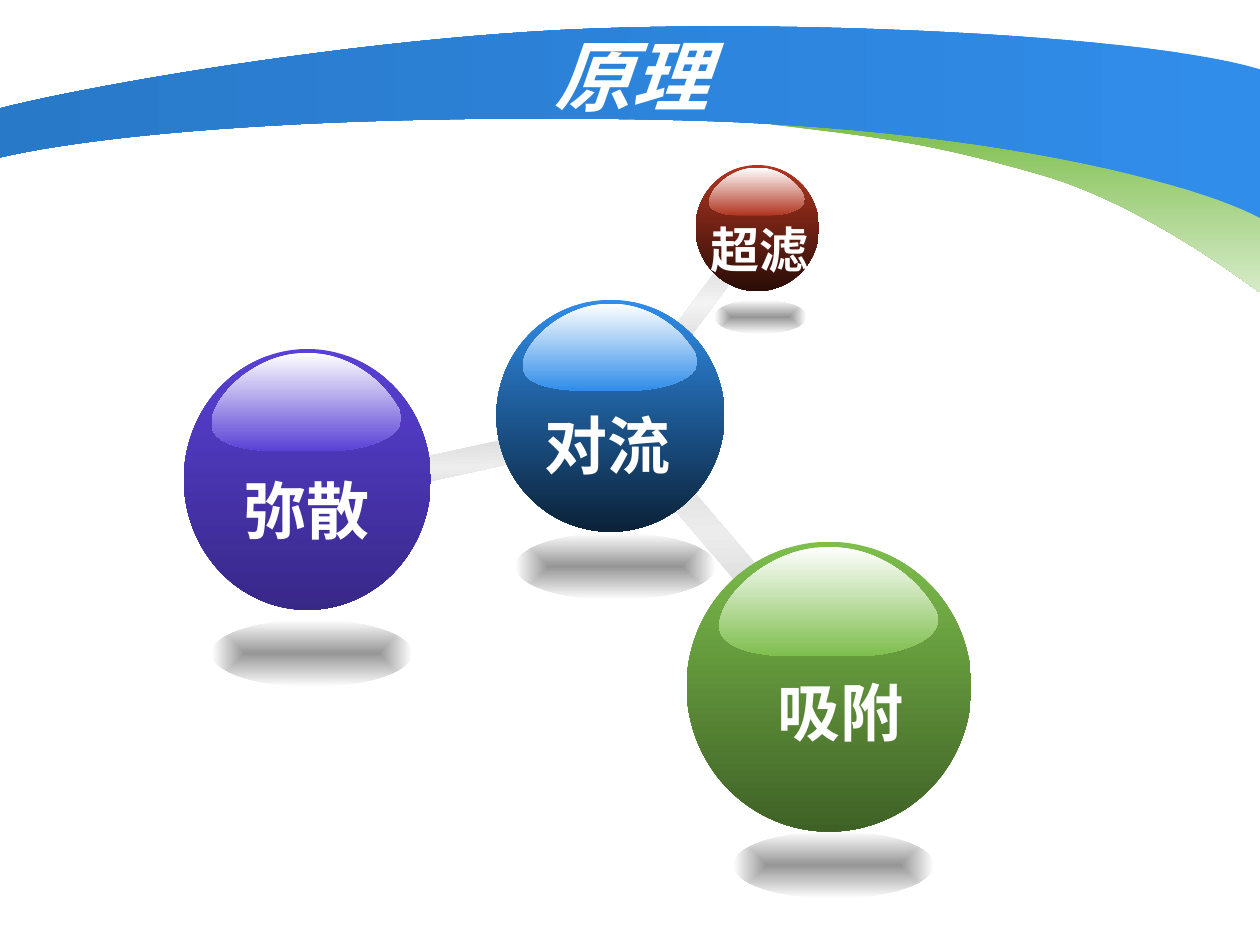
import pptx
import pptx.util
import pptx.dml.color
import pptx.enum.shapes
import pptx.enum.text
import pptx.oxml
import pptx.oxml.ns

Inches = pptx.util.Inches
Pt = pptx.util.Pt
hex_color = pptx.dml.color.RGBColor.from_string
SHAPE = pptx.enum.shapes.MSO_SHAPE


def paint(shape, colors, angle=None):
    shape.shadow.inherit = False
    shape.line.fill.background()
    shape.fill.gradient()
    old = shape._element.spPr.find(pptx.oxml.ns.qn("a:gradFill"))
    stops = "".join(
        f'<a:gs pos="{100000 * i // (len(colors) - 1)}"><a:srgbClr val="{color}"/></a:gs>'
        for i, color in enumerate(colors)
    )
    if angle is None:
        direction = '<a:path path="rect"><a:fillToRect l="50000" t="50000" r="50000" b="50000"/></a:path>'
    else:
        direction = f'<a:lin ang="{angle * 60000}" scaled="0"/>'
    gradient = pptx.oxml.parse_xml(
        f'<a:gradFill {pptx.oxml.ns.nsdecls("a")} rotWithShape="1">'
        f"<a:gsLst>{stops}</a:gsLst>{direction}</a:gradFill>"
    )
    old.getparent().replace(old, gradient)


def add_curved(start, segments, left=0, top=0, width=1, height=1, steps=24):
    points = [start]
    for segment in segments:
        if len(segment) == 1:
            points += segment
            continue
        p0, (p1, p2, p3) = points[-1], segment
        for step in range(1, steps + 1):
            t = step / steps
            points.append(tuple(
                (1 - t) ** 3 * a + 3 * (1 - t) ** 2 * t * b + 3 * (1 - t) * t ** 2 * c + t ** 3 * d
                for a, b, c, d in zip(p0, p1, p2, p3)
            ))
    placed = [(Inches(left + x * width), Inches(top + y * height)) for x, y in points]
    builder = slide.shapes.build_freeform(*placed[0], scale=1.0)
    builder.add_line_segments(placed[1:], close=True)
    return builder.convert_to_shape()


deck = pptx.Presentation()
deck.slide_width = Inches(10)
deck.slide_height = Inches(7.5)
slide = deck.slides.add_slide(deck.slide_layouts[5])

green_ribbon = add_curved((5.96, 0.97), [
    [(7.03, 1.09), (7.4, 1.14), (8.24, 1.38)],
    [(9.07, 1.61), (9.92, 2.27), (10, 2.32)],
    [(10, 1.72)],
    [(9.62, 1.51), (8.35, 1.15), (7.68, 1.03)],
])
paint(green_ribbon, ["7DBE4C", "D6EAC8"], 90)

blue_ribbon = add_curved((0, 1.25), [
    [(0.81, 1.06), (2.62, 0.9), (5.24, 0.95)],
    [(7.86, 1), (9.52, 1.47), (10, 1.73)],
    [(10, 0.55)],
    [(9.15, 0.29), (6.59, 0.17), (4.93, 0.22)],
    [(3.12, 0.26), (0.78, 0.66), (0, 0.86)],
])
paint(blue_ribbon, ["308DEA", "2979C9"], 180)

rods = [
    ((5.09, 4.12, 1.11, 0.21), 229.5, "ECECEC", 220),
    ((2.89, 3.61, 1.13, 0.2), 347.6, "EDEDED", 102),
    ((5.24, 2.33, 0.69, 0.15), 306.6, "F3F3F3", 143),
]
for box, rotation, middle, angle in rods:
    rod = slide.shapes.add_shape(SHAPE.RECTANGLE, *map(Inches, box))
    rod.rotation = rotation
    paint(rod, ["DDDDDD", middle, "DDDDDD"], angle)

gloss_segments = [
    [(0.69, 0), (0.88, 0.22), (0.98, 0.56)],
    [(1.06, 0.82), (0.84, 1), (0.6, 1)],
    [(0.36, 1)],
    [(0.13, 1), (0, 0.9), (0, 0.72)],
    [(0, 0.45), (0.23, 0), (0.5, 0)],
]
balls = [
    ("对流", 36, "Arial", (3.94, 2.38, 1.81, 1.84), (4.15, 2.41, 1.39, 0.69),
     (4.22, 3.18, 1.2, 0.7), "308DEA", "0B2238"),
    ("超滤", 28, "DejaVu Sans", (5.52, 1.31, 0.98, 1), (5.63, 1.33, 0.76, 0.38),
     (5.53, 1.69, 1, 0.57), "B13621", "2A0D07"),
    ("弥散", 36, "Arial", (1.46, 2.77, 1.96, 2.07), (1.68, 2.8, 1.51, 0.78),
     (1.83, 3.69, 1.2, 0.7), "5940D6", "382887"),
    ("吸附", 36, "Arial", (5.45, 4.3, 2.26, 2.3), (5.71, 4.34, 1.74, 0.87),
     (6.07, 5.3, 1.2, 0.7), "7DBE4C", "3F6126"),
]
for word, size, font, ball_box, gloss_box, label_box, light, dark in balls:
    ball = slide.shapes.add_shape(SHAPE.OVAL, *map(Inches, ball_box))
    paint(ball, [light, dark], 90)
    gloss = add_curved((0.5, 0), gloss_segments, *gloss_box)
    paint(gloss, ["FFFFFF", light], 90)

    label = slide.shapes.add_textbox(*map(Inches, label_box)).text_frame
    label.word_wrap = False
    label.auto_size = pptx.enum.text.MSO_AUTO_SIZE.SHAPE_TO_FIT_TEXT
    label.paragraphs[0].alignment = pptx.enum.text.PP_ALIGN.CENTER
    name = label.paragraphs[0].add_run()
    name.text = word
    name.font.name = font
    name.font.size = Pt(size)
    name.font.bold = True
    name.font.color.rgb = hex_color("FFFFFF")

shadows = [
    (1.68, 4.92, 1.59, 0.53),
    (4.09, 4.23, 1.59, 0.53),
    (5.82, 6.6, 1.59, 0.53),
    (5.67, 2.38, 0.73, 0.27),
]
for box in shadows:
    shadow = slide.shapes.add_shape(SHAPE.OVAL, *map(Inches, box))
    paint(shadow, ["969696", "FEFEFE"])

title = slide.shapes.title
title.left, title.top, title.width, title.height = map(Inches, (0.43, 0.28, 9.16, 0.62))
title.text_frame.auto_size = pptx.enum.text.MSO_AUTO_SIZE.NONE
title.text_frame.vertical_anchor = pptx.enum.text.MSO_ANCHOR.MIDDLE
title.text_frame.paragraphs[0].alignment = pptx.enum.text.PP_ALIGN.CENTER
heading = title.text_frame.paragraphs[0].add_run()
heading.text = "原理"
heading.font.name = "Noto Sans CJK SC"
heading.font.size = Pt(44)
heading.font.bold = True
heading.font.italic = True
heading.font.color.rgb = hex_color("FFFFFF")
slide.shapes._spTree.append(title._element)

deck.save("out.pptx")
